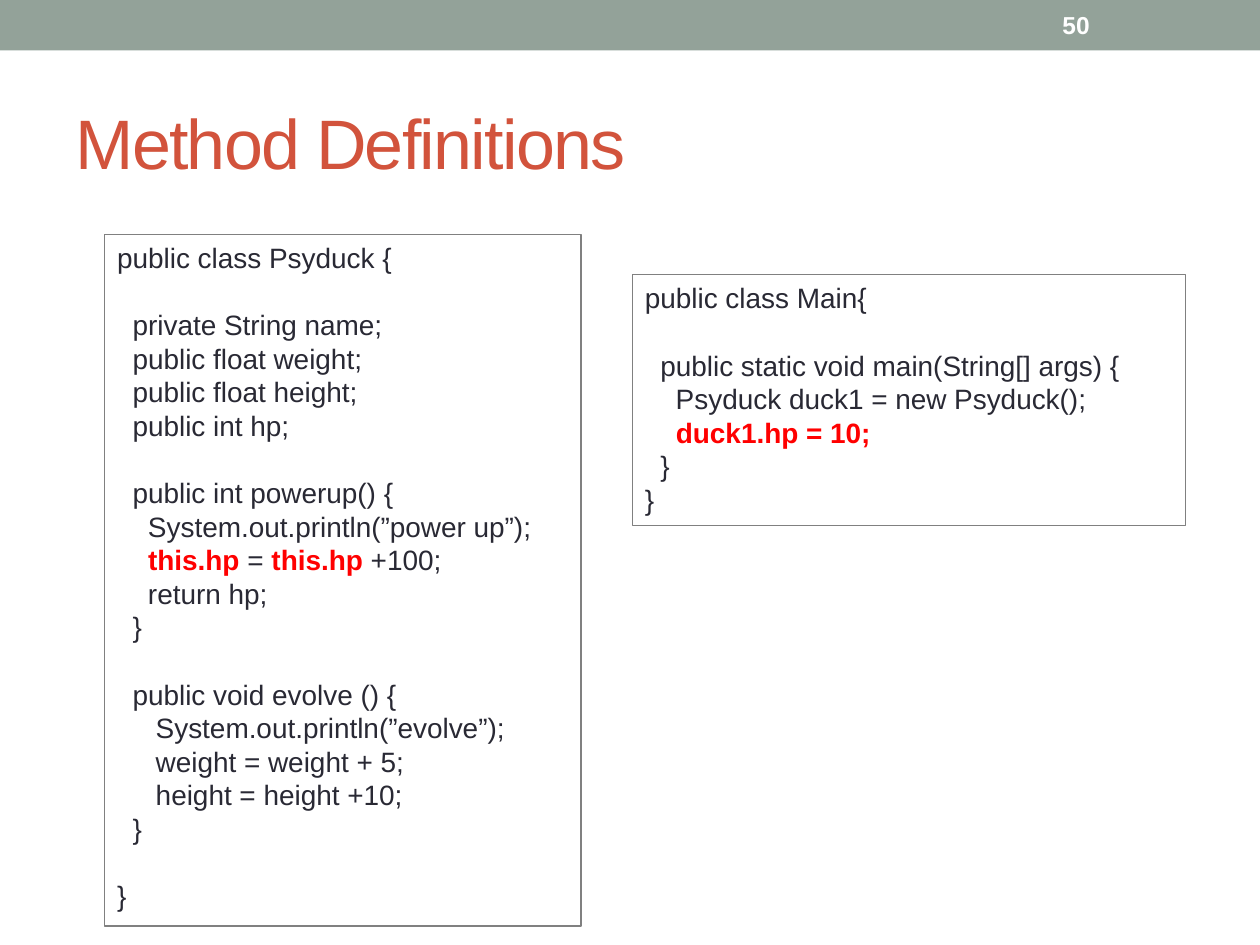
import pptx
import pptx.util
import pptx.dml.color
import pptx.enum.shapes
import pptx.enum.text

Pt = pptx.util.Pt
RGB = pptx.dml.color.RGBColor
RECT = pptx.enum.shapes.MSO_SHAPE.RECTANGLE
ANCHOR = pptx.enum.text.MSO_ANCHOR
LEFT = pptx.enum.text.PP_ALIGN.LEFT

SAGE = RGB(0x93, 0xA2, 0x99)
RUST = RGB(0xD2, 0x53, 0x3C)
INK = RGB(0x29, 0x29, 0x34)
RED = RGB(0xFF, 0x00, 0x00)
GRAY = RGB(0x80, 0x80, 0x80)
WHITE = RGB(0xFF, 0xFF, 0xFF)

DUCK = """public class Psyduck {

  private String name;
  public float weight;
  public float height;
  public int hp;

  public int powerup() {
    System.out.println(”power up”);
    **this.hp** = **this.hp** +100;
    return hp;
  }

  public void evolve () {
     System.out.println(”evolve”);
     weight = weight + 5;
     height = height +10;
  }

}"""

MAIN = """public class Main{

  public static void main(String[] args) {
    Psyduck duck1 = new Psyduck();
    **duck1.hp = 10;**
  }
}"""


def write(par, text, size=16, color=INK, bold=False, track=None):
    run = par.add_run()
    run.text = text
    run.font.name = "Arial"
    run.font.size = Pt(size)
    run.font.bold = bold
    run.font.color.rgb = color
    if track is not None:
        run._r.get_or_add_rPr().set("spc", str(track))


class Deck:
    font_size = 16
    line_step = 19.2

    def __init__(self, wide, high):
        self.file = pptx.Presentation()
        self.file.slide_width = Pt(wide)
        self.file.slide_height = Pt(high)
        self.slide = self.file.slides.add_slide(self.file.slide_layouts[5])

    def rect(self, x, y, w, h, fill=None, line=None):
        box = self.slide.shapes.add_shape(RECT, Pt(x), Pt(y), Pt(w), Pt(h))
        box.shadow.inherit = False
        if fill is None:
            box.fill.background()
        else:
            box.fill.solid()
            box.fill.fore_color.rgb = fill
        if line is None:
            box.line.fill.background()
        else:
            box.line.color.rgb = line
            box.line.width = Pt(0.75)
        return box

    def title(self, text, x, y, w, h):
        head = self.slide.shapes.title
        head.left, head.top, head.width, head.height = map(Pt, (x, y, w, h))
        frame = head.text_frame
        frame.vertical_anchor = ANCHOR.MIDDLE
        frame.paragraphs[0].alignment = LEFT
        write(frame.paragraphs[0], text, size=40, color=RUST, track=-100)

    def label(self, text, x, y, w, h, **style):
        box = self.slide.shapes.add_textbox(Pt(x), Pt(y), Pt(w), Pt(h))
        frame = box.text_frame
        frame.word_wrap = True
        frame.vertical_anchor = ANCHOR.MIDDLE
        write(frame.paragraphs[0], text, **style)

    def code(self, text, x, y, w, h):
        frame = self.rect(x, y, w, h, line=GRAY).text_frame
        frame.word_wrap = True
        frame.vertical_anchor = ANCHOR.TOP
        par = frame.paragraphs[0]
        gap = 0
        for i, line in enumerate(text.split("\n")):
            if not line:
                gap = self.line_step
                continue
            if i:
                par = frame.add_paragraph()
            par.alignment = LEFT
            par.line_spacing = Pt(self.line_step)
            if gap:
                par.space_before = Pt(gap)
                gap = 0
            for n, part in enumerate(line.split("**")):
                if part:
                    hot = n % 2 == 1
                    write(par, part, size=self.font_size,
                          color=RED if hot else INK, bold=hot)


def main():
    deck = Deck(720, 540)
    deck.rect(0, 0, 720, 28.8, fill=SAGE)
    deck.title("Method Definitions", 36, 41.8, 648, 77.8)
    deck.label("50", 600, 1.4, 84, 26, size=14, color=WHITE, bold=True)
    deck.code(MAIN, 361.4, 157, 316.1, 143.3)
    deck.code(DUCK, 59.8, 133.9, 272.2, 395.3)
    deck.file.save("out.pptx")


if __name__ == "__main__":
    main()
